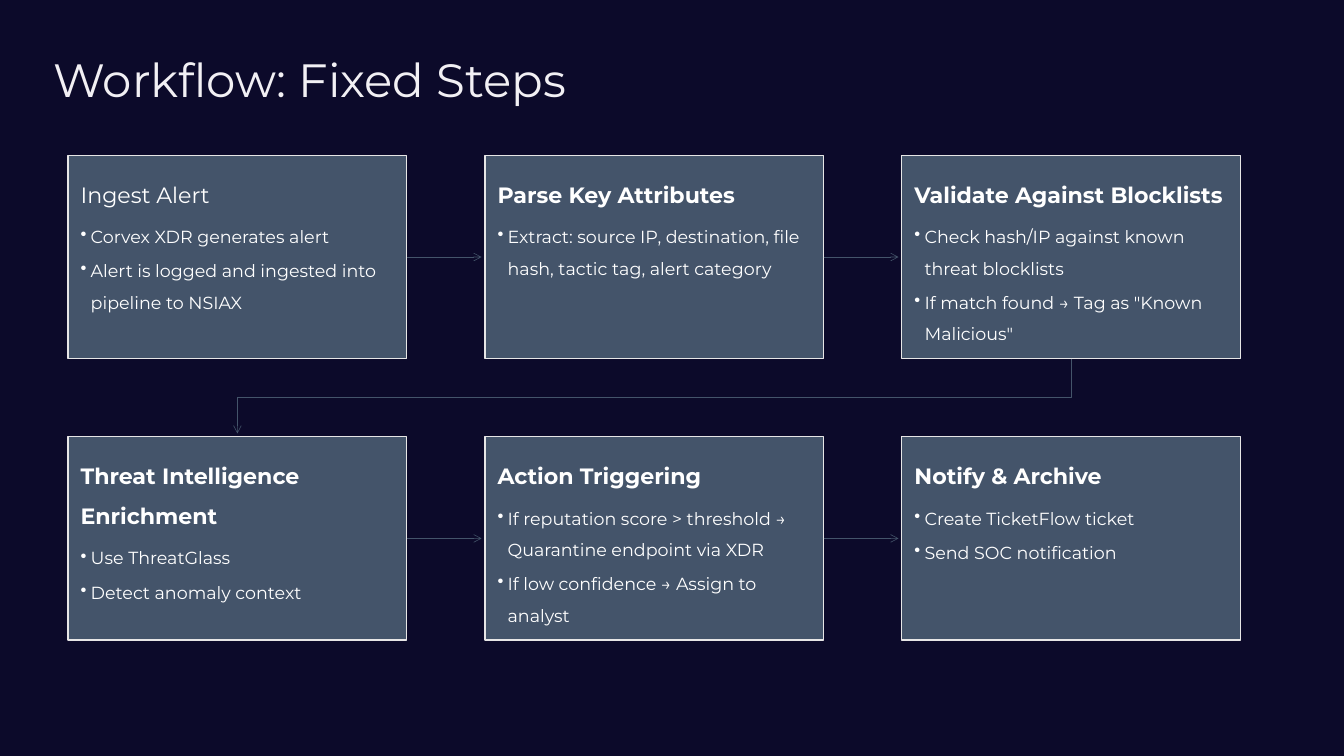
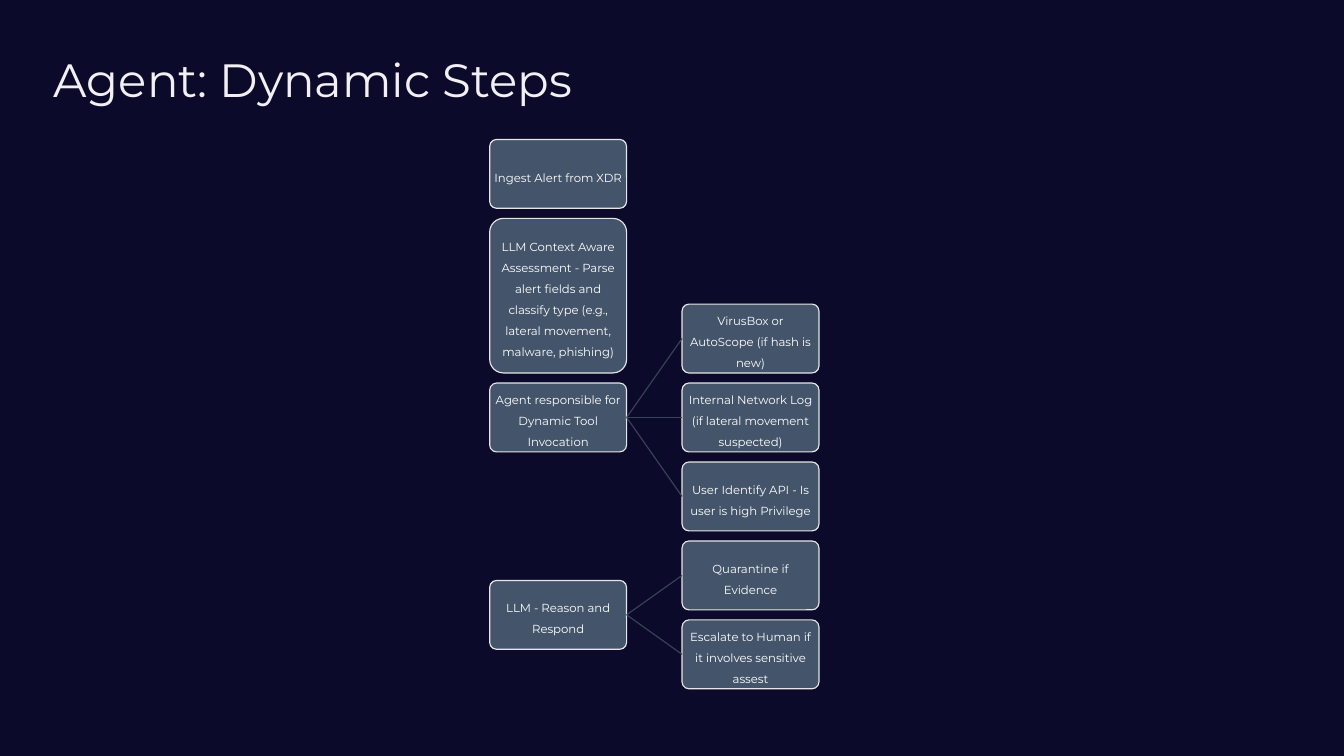
from collections import namedtuple

from lxml import etree
from pptx import Presentation
from pptx import util as u
from pptx.dml.color import RGBColor
from pptx.enum import shapes, text
from pptx.oxml import ns

FONT = "Montserrat"
BACKDROP, TITLE_INK, INK = "0C0A2A", "F2F0F4", "FFFFFF"
PANEL, EDGE, BRANCH = "44546A", "E7E6E6", "364355"
TOP, LEFT, BOTTOM, RIGHT = range(4)

Box = namedtuple("Box", "left top width height")
TITLE_BOX = Box(0.64, 0.58, 8.26, 1.4)
WORKFLOW_BOX = Box(0.81, 1.85, 13.96, 5.77)
TREE_BOX = Box(5.83, 1.66, 3.92, 6.53)

STEPS = [
    ("Ingest Alert", ["Corvex XDR generates alert",
                      "Alert is logged and ingested into pipeline to NSIAX"]),
    ("Parse Key Attributes", ["Extract: source IP, destination, file hash, tactic tag, alert category"]),
    ("Validate Against Blocklists", ["Check hash/IP against known threat blocklists",
                                     'If match found → Tag as "Known Malicious"']),
    ("Threat Intelligence Enrichment", ["Use ThreatGlass", "Detect anomaly context"]),
    ("Action Triggering", ["If reputation score > threshold → Quarantine endpoint via XDR",
                           "If low confidence → Assign to analyst"]),
    ("Notify & Archive", ["Create TicketFlow ticket", "Send SOC notification"]),
]
INTAKE = [
    ("Ingest Alert from XDR", 0.82),
    ("LLM Context Aware Assessment - Parse alert fields and classify type "
     "(e.g., lateral movement, malware, phishing)", 1.84),
]
BRANCHES = [
    ("Agent responsible for Dynamic Tool Invocation",
     ["VirusBox or AutoScope (if hash is new)",
      "Internal Network Log (if lateral movement suspected)",
      "User Identify API - Is user is high Privilege"]),
    ("LLM - Reason and Respond",
     ["Quarantine if Evidence", "Escalate to Human if it involves sensitive assest"]),
]


def colour(value):
    return RGBColor.from_string(value)


def inches(lengths):
    return [u.Inches(length) for length in lengths]


def apply(target, **values):
    for name, value in values.items():
        setattr(target, name, value)


def set_frame(shape, inset, anchor):
    margins = {f"margin_{side}": u.Inches(inset) for side in ("left", "top", "right", "bottom")}
    apply(shape.text_frame, word_wrap=True, vertical_anchor=anchor, **margins)
    return shape.text_frame


def write(paragraph, words, size, ink=INK, bold=False, **layout):
    run = paragraph.add_run()
    run.text = words
    apply(run.font, name=FONT, size=u.Pt(size), bold=bold)
    run.font.color.rgb = colour(ink)
    apply(paragraph, **layout)


def add_bullet(paragraph, indent):
    properties = paragraph._p.get_or_add_pPr()
    properties.set("marL", str(u.Inches(indent)))
    properties.set("indent", str(-u.Inches(indent)))
    etree.SubElement(properties, ns.qn("a:buChar"), char="•")


def add_panel(slide, kind, box):
    panel = slide.shapes.add_shape(kind, *inches(box))
    panel.shadow.inherit = False
    panel.fill.solid()
    panel.fill.fore_color.rgb = colour(PANEL)
    style_line(panel, EDGE, 1)
    return panel


def style_line(shape, ink, width, arrow=False):
    shape.line.color.rgb = colour(ink)
    shape.line.width = u.Pt(width)
    if arrow:
        etree.SubElement(shape.get_or_add_ln(), ns.qn("a:tailEnd"), type="arrow")


def add_straight(slide, start, end, **line):
    """Start is a shape, left from its right side; end is a shape or a point in inches."""
    is_point = isinstance(end, tuple)
    target = inches(end) if is_point else (end.left, end.top)
    connector = slide.shapes.add_connector(
        shapes.MSO_CONNECTOR.STRAIGHT, start.left, start.top, *target)
    connector.begin_connect(start, RIGHT)
    if not is_point:
        connector.end_connect(end, LEFT)
    style_line(connector, **line)
    etree.SubElement(connector._element.spPr, ns.qn("a:effectLst"))


def add_bent_arrow(slide, points, **line):
    first, *rest = [inches(point) for point in points]
    builder = slide.shapes.build_freeform(*first)
    builder.add_line_segments(rest, close=False)
    arrow = builder.convert_to_shape()
    arrow.shadow.inherit = False
    arrow.fill.background()
    style_line(arrow, **line)


def add_titled_slide(presentation, title):
    slide = presentation.slides.add_slide(presentation.slide_layouts[6])
    title_shape = slide.shapes.add_textbox(*inches(TITLE_BOX))
    frame = set_frame(title_shape, 0, text.MSO_ANCHOR.TOP)
    write(frame.paragraphs[0], title, 40, TITLE_INK, line_spacing=u.Pt(50))
    return slide


def add_step(slide, box, heading, points, bold):
    panel = add_panel(slide, shapes.MSO_SHAPE.RECTANGLE, box)
    frame = set_frame(panel, 0.15, text.MSO_ANCHOR.TOP)
    layout = {"alignment": text.PP_ALIGN.LEFT, "line_spacing": 1.5}
    write(frame.paragraphs[0], heading, 19, bold=bold, space_after=u.Pt(6.65), **layout)
    for point in points:
        paragraph = frame.add_paragraph()
        write(paragraph, point, 15, level=1, space_after=u.Pt(2.25), **layout)
        add_bullet(paragraph, 0.12)
    return panel


def add_workflow(slide, box, columns=3, rows=2, gap=0.93, clearance=0.04):
    """Steps in reading order, each joined to the next by an arrow."""
    width = (box.width - (columns - 1) * gap) / columns
    height = (box.height - (rows - 1) * gap) / rows
    cells = [Box(box.left + column * (width + gap), box.top + row * (height + gap), width, height)
             for row in range(rows) for column in range(columns)]
    panels = [add_step(slide, cell, *step, bold=index > 0)
              for index, (cell, step) in enumerate(zip(cells, STEPS))]
    line = {"ink": PANEL, "width": 0.5, "arrow": True}
    for panel, cell, following in zip(panels, cells, cells[1:]):
        if cell.top == following.top:
            tip = (following.left - clearance, following.top + height / 2)
            add_straight(slide, panel, tip, **line)
        else:
            start, end = cell.left + width / 2, following.left + width / 2
            bottom = cell.top + height
            bend = bottom + gap / 2
            add_bent_arrow(slide, [(start, bottom), (start, bend), (end, bend),
                                   (end, following.top - clearance)], **line)


def add_node(slide, box, words):
    node = add_panel(slide, shapes.MSO_SHAPE.ROUNDED_RECTANGLE, box)
    node.adjustments[0] = 0.1
    frame = set_frame(node, 0.01, text.MSO_ANCHOR.MIDDLE)
    write(frame.paragraphs[0], words, 10, alignment=text.PP_ALIGN.CENTER,
          line_spacing=1.5, space_after=u.Pt(3.5))
    return node


def add_agent_tree(slide, box, width=1.63, height=0.82, gap=0.12):
    """Intake stacked on the left; below it each parent is centred on its children."""
    top = box.top
    for words, intake_height in INTAKE:
        add_node(slide, Box(box.left, top, width, intake_height), words)
        top += intake_height + gap
    pitch = height + gap
    child_left = box.left + box.width - width
    child_top = top - pitch
    for parent_words, children in BRANCHES:
        parent_top = child_top + (len(children) - 1) * pitch / 2
        parent = add_node(slide, Box(box.left, parent_top, width, height), parent_words)
        for words in children:
            child = add_node(slide, Box(child_left, child_top, width, height), words)
            add_straight(slide, parent, child, ink=BRANCH, width=1)
            child_top += pitch


def main():
    presentation = Presentation()
    apply(presentation, slide_width=u.Inches(16), slide_height=u.Inches(9))
    backdrop = presentation.slide_master.background.fill
    backdrop.solid()
    backdrop.fore_color.rgb = colour(BACKDROP)
    add_workflow(add_titled_slide(presentation, "Workflow: Fixed Steps"), WORKFLOW_BOX)
    add_agent_tree(add_titled_slide(presentation, "Agent: Dynamic Steps"), TREE_BOX)
    presentation.save("out.pptx")


if __name__ == "__main__":
    main()
